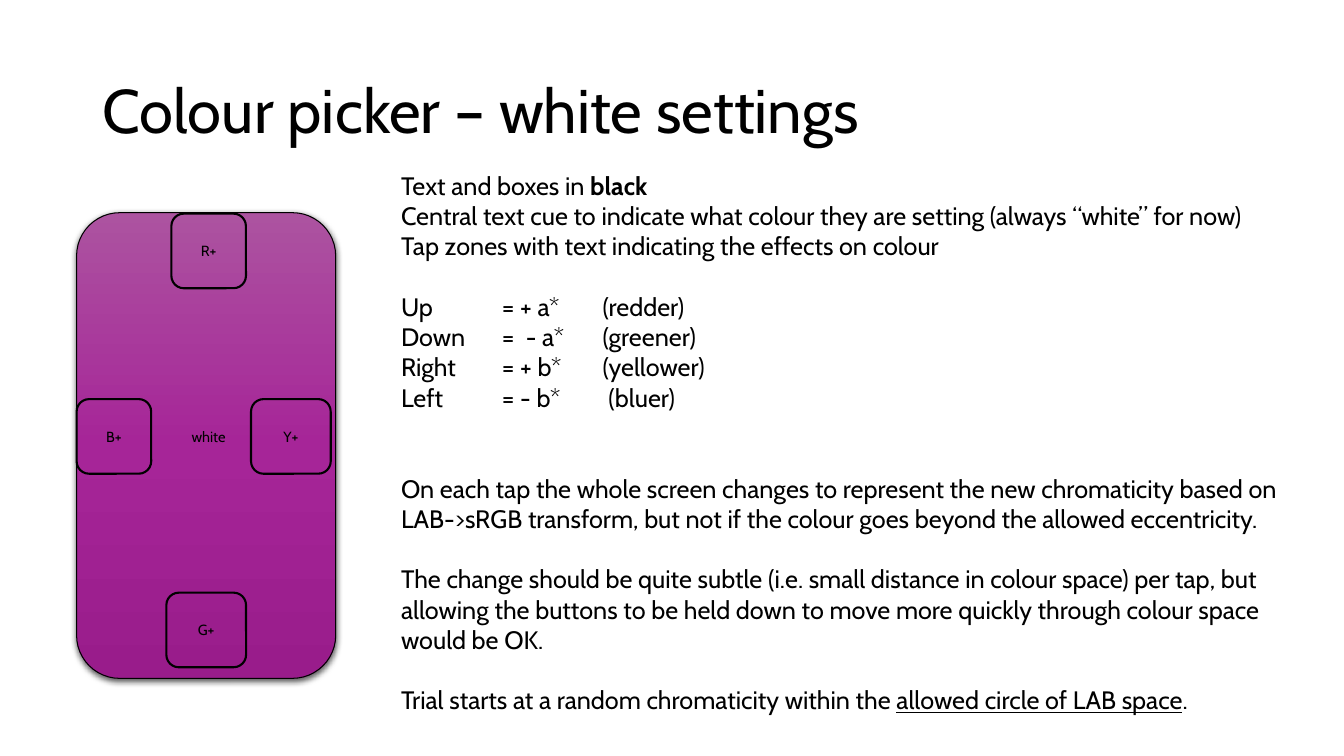
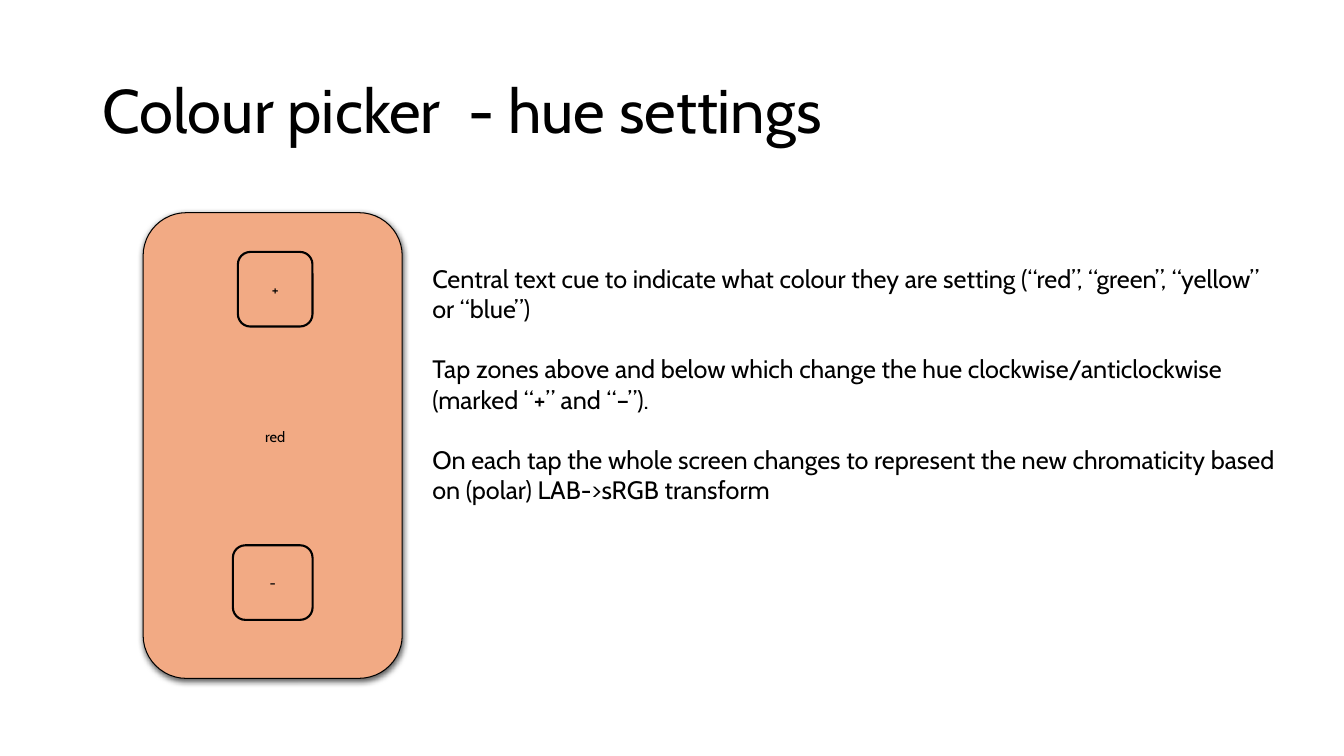
import dataclasses

import lxml.etree
import pptx
import pptx.dml.color
import pptx.enum.shapes
import pptx.enum.text
import pptx.oxml.ns
import pptx.util
import copy


@dataclasses.dataclass(frozen=True)
class Theme:
    font: str = "Cabin"
    ink: str = "000000"
    purple: tuple = ((0, "AC53A0"), (0.5, "A62598"), (1, "991C8B"))
    peach: tuple = ((0, "F2AA84"),)
    title_size: float = 44
    body_size: float = 18
    label_size: float = 10.5
    body_line: float = 21.65
    screen_line: float = 0.75
    zone_line: float = 1.5


theme = Theme()
color = pptx.dml.color.RGBColor.from_string
qn = pptx.oxml.ns.qn

presentation = pptx.Presentation()
presentation.slide_width = pptx.util.Inches(13.33)
presentation.slide_height = pptx.util.Inches(7.5)
column = presentation.slide_width / 100
row = presentation.slide_height / 100

TITLE_BOX = (6.9, 5.33, 86.25, 19.33)
SCREEN_TOP, SCREEN_WIDTH, SCREEN_HEIGHT = 28.13, 19.28, 61.6
ZONE_WIDTH, WIDE_ZONE_WIDTH, ZONE_HEIGHT = 5.55, 5.93, 9.87
ZONE_LEFT, WIDE_ZONE_LEFT, MIDDLE = 7.05, 6.68, 24.67

SLIDES = [
    {
        "title": "Colour picker – white settings",
        "screen_left": 5.7,
        "screen_fill": theme.purple,
        "cue": "white",
        "zones": [
            ("R+", ZONE_LEFT, 0.13, ZONE_WIDTH),
            ("B+", 0, MIDDLE, ZONE_WIDTH),
            ("Y+", 12.98, MIDDLE, WIDE_ZONE_WIDTH),
            ("G+", WIDE_ZONE_LEFT, 50.27, WIDE_ZONE_WIDTH),
        ],
        "body_box": (29.1, 21.87, 67.88, 76),
        "body": [
            (0, [("Text and boxes in ", ""), ("black", "bold")]),
            (0, [("Central text cue to indicate what colour they are setting (always “white” for now)", "")]),
            (0, [("Tap zones with text indicating the effects on colour", "")]),
            (1, [("Up\t= + a*\t(redder)", "")]),
            (0, [("Down\t=  - a*\t(greener)", "")]),
            (0, [("Right\t= + b*\t(yellower)", "")]),
            (0, [("Left\t= - b*\t (bluer)", "")]),
            (2, [("On each tap the whole screen changes to represent the new chromaticity based on "
                  "LAB->sRGB transform, but not if the colour goes beyond the allowed eccentricity.", "")]),
            (1, [("The change should be quite subtle (i.e. small distance in colour space) per tap, but "
                  "allowing the buttons to be held down to move more quickly through colour space "
                  "would be OK.", "")]),
            (1, [("Trial starts at a random chromaticity within the ", ""),
                 ("allowed circle of LAB space", "underline"), (".", "")]),
        ],
    },
    {
        "title": "Colour picker  - hue settings",
        "screen_left": 10.65,
        "screen_fill": theme.peach,
        "cue": "red",
        "zones": [
            ("+", ZONE_LEFT, 5.2, ZONE_WIDTH),
            ("-", WIDE_ZONE_LEFT, 44, WIDE_ZONE_WIDTH),
        ],
        "body_box": (31.43, 34.13, 65.03, 41.73),
        "body": [
            (0, [("Central text cue to indicate what colour they are setting "
                  "(“red”, “green”, “yellow” or “blue”)", "")]),
            (1, [("Tap zones above and below which change the hue clockwise/anticlockwise "
                  "(marked “+” and “–”).", "")]),
            (1, [("On each tap the whole screen changes to represent the new chromaticity based "
                  "on (polar) LAB->sRGB transform", "")]),
        ],
    },
]


def add_box(slide, box, line_width=None, rounded=True):
    left, top, width, height = box
    place = [round(size) for size in (left * column, top * row, width * column, height * row)]
    if not rounded:
        shape = slide.shapes.add_textbox(*place)
        shape.text_frame.word_wrap = True
        return shape
    shape = slide.shapes.add_shape(pptx.enum.shapes.MSO_SHAPE.ROUNDED_RECTANGLE, *place)
    shape.shadow.inherit = False
    shape.fill.background()
    if line_width:
        shape.line.color.rgb = color(theme.ink)
        shape.line.width = pptx.util.Pt(line_width)
    else:
        shape.line.fill.background()
    return shape


def set_text(paragraph, runs, size):
    for text, style in runs:
        run = paragraph.add_run()
        run.text = text
        if style:
            setattr(run.font, style, True)
    paragraph.font.name = theme.font
    paragraph.font.size = pptx.util.Pt(size)
    paragraph.font.color.rgb = color(theme.ink)


for content in SLIDES:
    slide = presentation.slides.add_slide(presentation.slide_layouts[6])

    title = add_box(slide, TITLE_BOX, rounded=False)
    title.text_frame.vertical_anchor = pptx.enum.text.MSO_ANCHOR.MIDDLE
    paragraph = title.text_frame.paragraphs[0]
    paragraph.line_spacing = 0.9
    set_text(paragraph, [(content["title"], "")], theme.title_size)

    screen_left = content["screen_left"]
    screen = add_box(slide, (screen_left, SCREEN_TOP, SCREEN_WIDTH, SCREEN_HEIGHT), theme.screen_line)
    stops = content["screen_fill"]
    if len(stops) == 1:
        screen.fill.solid()
        screen.fill.fore_color.rgb = color(stops[0][1])
    else:
        screen.fill.gradient()
        screen.fill.gradient_angle = 270
        stop_list = screen.element.spPr.find(".//" + qn("a:gsLst"))
        while len(stop_list) < len(stops):
            stop_list.append(copy.deepcopy(stop_list[-1]))
        for stop, (position, value) in zip(screen.fill.gradient_stops, stops):
            stop.position = position
            stop.color.rgb = color(value)
    effects = screen.element.spPr.find(qn("a:effectLst"))
    shadow = lxml.etree.SubElement(
        effects, qn("a:outerShdw"), blurRad=str(pptx.util.Pt(4.5)), dist=str(pptx.util.Pt(1.5)),
        dir="5400000", algn="ctr", rotWithShape="0")
    shadow_color = lxml.etree.SubElement(shadow, qn("a:srgbClr"), val=theme.ink)
    lxml.etree.SubElement(shadow_color, qn("a:alpha"), val="63000")

    cue = (content["cue"], ZONE_LEFT, MIDDLE, ZONE_WIDTH)
    for zone in [cue, *content["zones"]]:
        label, left, top, width = zone
        box = (screen_left + left, SCREEN_TOP + top, width, ZONE_HEIGHT)
        shape = add_box(slide, box, None if zone is cue else theme.zone_line)
        shape.text_frame.vertical_anchor = pptx.enum.text.MSO_ANCHOR.MIDDLE
        paragraph = shape.text_frame.paragraphs[0]
        paragraph.alignment = pptx.enum.text.PP_ALIGN.CENTER
        set_text(paragraph, [(label, "")], theme.label_size)

    frame = add_box(slide, content["body_box"], rounded=False).text_frame
    for index, (gap, runs) in enumerate(content["body"]):
        paragraph = frame.add_paragraph() if index else frame.paragraphs[0]
        paragraph.space_before = pptx.util.Pt(gap * theme.body_line)
        if "\t" in runs[0][0]:
            tabs = lxml.etree.SubElement(paragraph._p.get_or_add_pPr(), qn("a:tabLst"))
            for inches in (1, 2):
                lxml.etree.SubElement(tabs, qn("a:tab"), pos=str(pptx.util.Inches(inches)), algn="l")
        set_text(paragraph, runs, theme.body_size)

presentation.save("out.pptx")
